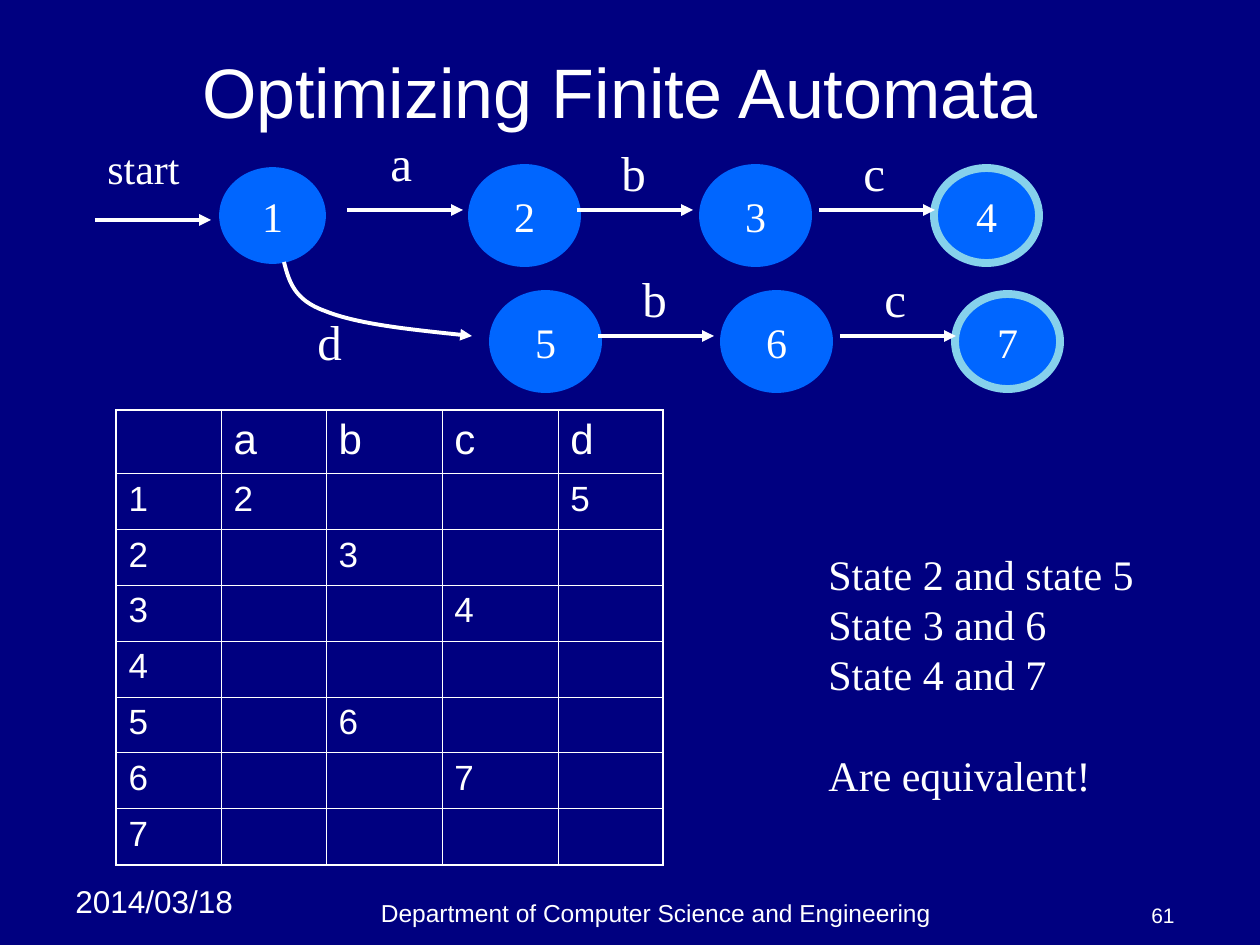
from dataclasses import dataclass

from lxml import etree
from pptx import Presentation
from pptx.dml.color import RGBColor
from pptx.enum import shapes, text
from pptx.oxml.ns import qn
from pptx.util import Emu, Pt

SCALE = 914400 / 126  # EMU in one px
WHITE, NAVY, BLUE, SKY = "FFFFFF", "000080", "0066FF", "86D1EC"
SANS, SERIF = "Arial", "Times New Roman"
LEFT, CENTER, RIGHT = text.PP_ALIGN.LEFT, text.PP_ALIGN.CENTER, text.PP_ALIGN.RIGHT
TOP, MIDDLE, BOTTOM = text.MSO_ANCHOR.TOP, text.MSO_ANCHOR.MIDDLE, text.MSO_ANCHOR.BOTTOM
ARROW_LENGTH = 116


@dataclass
class Label:
    words: str
    x: int
    y: int
    width: int
    height: int
    size: int
    font: str = SERIF
    align: int = LEFT
    anchor: int = TOP


@dataclass
class State:
    name: str
    x: int
    y: int
    ring: str = BLUE
    ring_width: float = 4.5


@dataclass
class Arrow:
    x: int
    y: int


def px(length: int) -> Emu:
    return Emu(round(length * SCALE))


def color(code: str) -> RGBColor:
    return RGBColor.from_string(code)


def style(para, size: int, font: str, align: int = LEFT) -> None:
    para.alignment = align
    para.font.size = Pt(size)
    para.font.name = font
    para.font.color.rgb = color(WHITE)


def add_label(page, label: Label):
    box = page.shapes.add_textbox(
        px(label.x), px(label.y), px(label.width), px(label.height))
    frame = box.text_frame
    frame.word_wrap = True
    frame.vertical_anchor = label.anchor
    frame.text = label.words
    for para in frame.paragraphs:
        style(para, label.size, label.font, label.align)
    return box


def add_state(page, state: State) -> None:
    circle = page.shapes.add_shape(
        shapes.MSO_SHAPE.OVAL, px(state.x), px(state.y), px(105), px(95))
    circle.shadow.inherit = False
    circle.fill.solid()
    circle.fill.fore_color.rgb = color(BLUE)
    circle.line.color.rgb = color(state.ring)
    circle.line.width = Pt(state.ring_width)
    frame = circle.text_frame
    frame.word_wrap = False
    frame.vertical_anchor = MIDDLE
    frame.text = state.name
    style(frame.paragraphs[0], 24, SERIF, CENTER)


def style_arrow(shape) -> None:
    shape.line.color.rgb = color(WHITE)
    shape.line.width = Pt(2.25)
    etree.SubElement(shape.line._get_or_add_ln(), qn("a:tailEnd"), type="triangle")


def add_arrow(page, arrow: Arrow) -> None:
    line = page.shapes.add_connector(
        shapes.MSO_CONNECTOR.STRAIGHT, px(arrow.x), px(arrow.y),
        px(arrow.x + ARROW_LENGTH), px(arrow.y))
    style_arrow(line)
    etree.SubElement(line._element.spPr, qn("a:effectLst"))


def add_curve(page, start: tuple[int, int], points: list[tuple[int, int]]) -> None:
    """Draw Bezier arcs; each takes two control points and an end point."""
    builder = page.shapes.build_freeform(*start, scale=SCALE)
    builder.add_line_segments(points, close=False)
    curve = builder.convert_to_shape()
    curve.shadow.inherit = False
    curve.fill.background()
    style_arrow(curve)
    outline = next(curve._element.iter(qn("a:path")))
    segments = outline.findall(qn("a:lnTo"))
    for first in range(0, len(segments), 3):
        arc = etree.SubElement(outline, qn("a:cubicBezTo"))
        for segment in segments[first:first + 3]:
            arc.append(segment[0])
            outline.remove(segment)


def set_borders(cell, outer: dict[str, bool]) -> None:
    props = cell._tc.get_or_add_tcPr()
    for index, (side, is_outer) in enumerate(outer.items()):
        width = Pt(1.08 if is_outer else 0.45)
        line = etree.Element(qn(f"a:{side}"), w=str(width))
        fill = etree.SubElement(line, qn("a:solidFill"))
        etree.SubElement(fill, qn("a:srgbClr"), val=WHITE)
        props.insert(index, line)


def add_transitions(page, symbols: str, moves: dict, widths: list[int],
                    heights: list[int]) -> None:
    table = page.shapes.add_table(
        len(heights), len(widths), px(116), px(410),
        px(sum(widths)), px(sum(heights))).table
    table.first_row = table.horz_banding = False
    for column, width in zip(table.columns, widths):
        column.width = px(width)
    for row, height in zip(table.rows, heights):
        row.height = px(height)
    last_row, last_column = len(heights) - 1, len(widths) - 1
    for r in range(len(heights)):
        for c in range(len(widths)):
            cell = table.cell(r, c)
            cell.fill.background()
            symbol = symbols[c - 1] if c else ""
            if r == 0:
                cell.text = symbol
            else:
                cell.text = moves.get((r, symbol), "") if c else str(r)
            style(cell.text_frame.paragraphs[0], 20 if r else 24, SANS)
            set_borders(cell, {"lnL": c == 0, "lnR": c == last_column,
                               "lnT": r == 0, "lnB": r == last_row})


def main() -> None:
    deck = Presentation()
    deck.slide_width, deck.slide_height = px(1260), px(945)
    page = deck.slides.add_slide(deck.slide_layouts[6])
    page.background.fill.solid()
    page.background.fill.fore_color.rgb = color(NAVY)

    # Title and footer
    for label in (
        Label("Optimizing Finite Automata", 53, 38, 1134, 105, 40, SANS, CENTER, MIDDLE),
        Label("2014/03/18", 63, 876, 199, 50, 18, SANS),
        Label("Department of Computer Science and Engineering",
              231, 892, 850, 42, 14, SANS, CENTER, BOTTOM),
        Label("61", 1102, 892, 85, 42, 12, SANS, RIGHT, BOTTOM),
    ):
        add_label(page, label)

    # Start state and its outgoing moves
    add_state(page, State("1", 220, 168, BLUE, 1))
    add_arrow(page, Arrow(95, 220))
    add_label(page, Label("start", 95, 136, 100, 63, 24))
    add_arrow(page, Arrow(347, 210))
    add_label(page, Label("a", 378, 126, 53, 72, 28))
    add_curve(page, (284, 262), [(289, 281), (294, 300), (325, 311),
                                 (357, 324), (415, 330), (472, 336)])
    add_label(page, Label("d", 305, 305, 53, 72, 28))

    # Two parallel branches, each reading b then c
    for branch, names in enumerate(("234", "567")):
        dx, dy = branch * 21, branch * 126
        for i, name in enumerate(names):
            ring = SKY if i == 2 else BLUE
            add_state(page, State(name, 472 + dx + i * 231, 168 + dy, ring))
        for i, symbol in enumerate("bc"):
            x = dx + i * 242
            add_arrow(page, Arrow(577 + x, 210 + dy))
            add_label(page, Label(symbol, 609 + x, 136 + dy, 53, 72, 28))

    # Transition table
    moves = {(1, "a"): "2", (1, "d"): "5", (2, "b"): "3",
             (3, "c"): "4", (5, "b"): "6", (6, "c"): "7"}
    add_transitions(page, "abcd", moves, [105, 105, 116, 116, 105], [63] + [56] * 7)

    # Conclusion
    box = add_label(page, Label(
        "State 2 and state 5\nState 3 and 6\nState 4 and 7\nAre equivalent!",
        816, 542, 336, 265, 24))
    for para in box.text_frame.paragraphs:
        para.line_spacing = Pt(28.8)
    box.text_frame.paragraphs[-1].space_before = Pt(28.8)

    deck.save("out.pptx")


if __name__ == "__main__":
    main()
